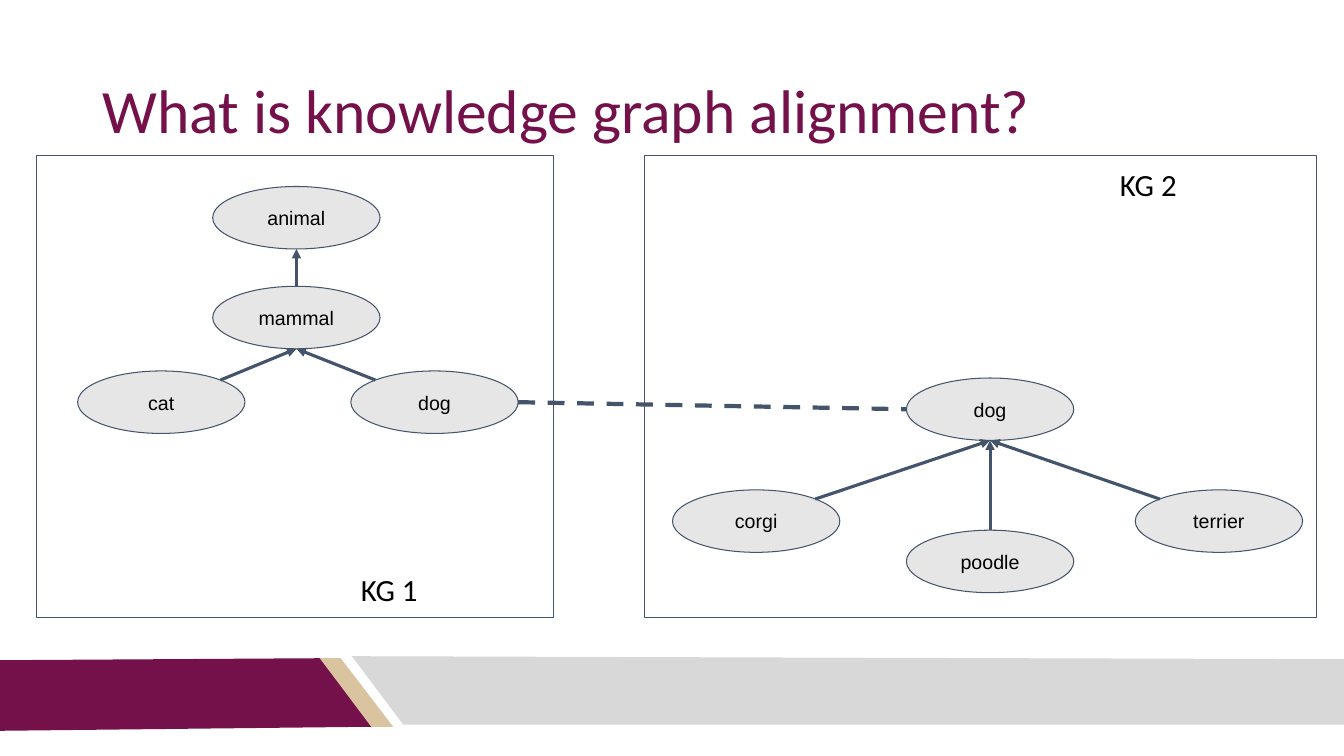
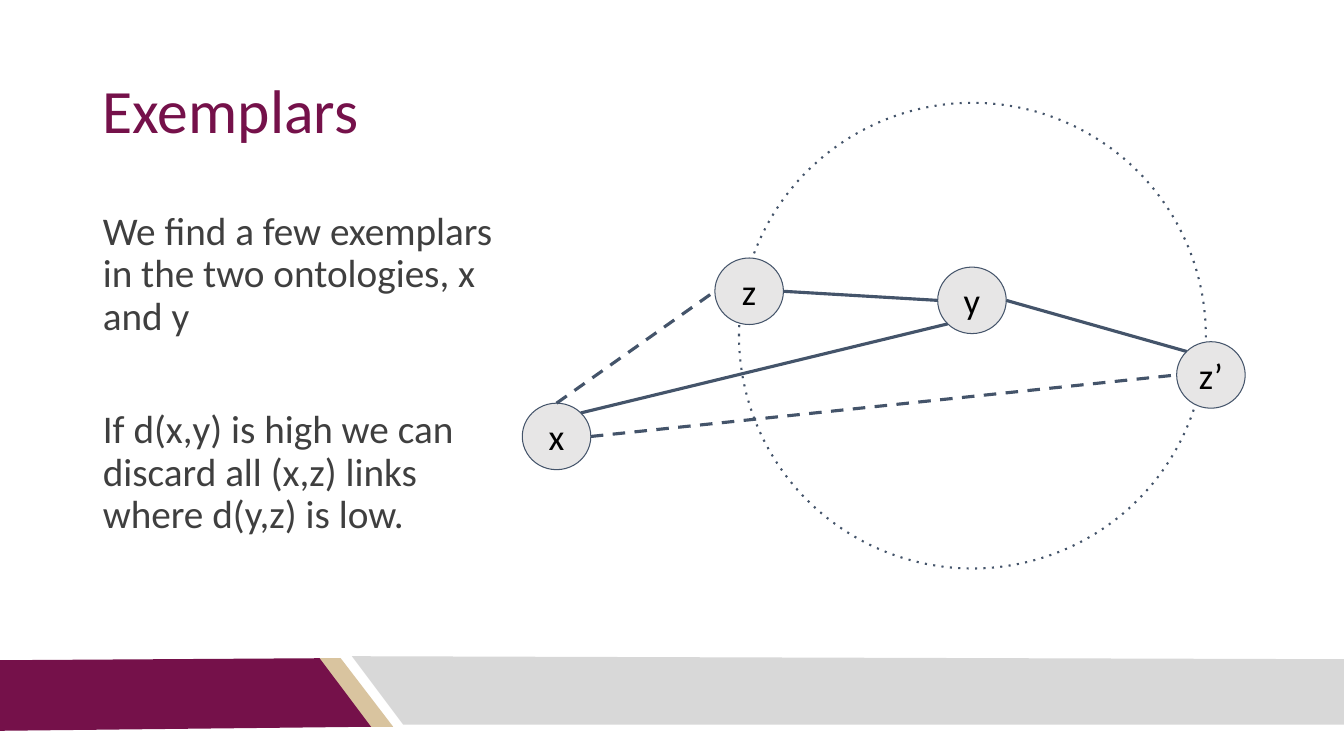
from dataclasses import dataclass
from enum import IntEnum
from math import cos, pi, sin
from typing import NamedTuple, Optional

from lxml.etree import SubElement
from pptx import Presentation
from pptx.dml.color import RGBColor as RGB
from pptx.enum.shapes import MSO_CONNECTOR as Line, MSO_SHAPE as Preset
from pptx.enum.text import MSO_ANCHOR as Anchor, MSO_AUTO_SIZE as AutoSize, PP_ALIGN as Align
from pptx.oxml.ns import qn
from pptx.shapes.autoshape import Shape
from pptx.slide import Slide
from pptx.text.text import TextFrame
from pptx.util import Pt

PX = 9144
WIDTH, HEIGHT = 1333, 750
INSET = 10
TITLE_ONLY, TITLE_AND_BODY = 5, 1


class TextStyle(NamedTuple):
    font: str
    size: int
    color: RGB


@dataclass(frozen=True)
class Theme:
    maroon: RGB = RGB.from_string("75114A")
    sand: RGB = RGB.from_string("D9C49F")
    silver: RGB = RGB.from_string("D8D8D8")
    node: RGB = RGB.from_string("E7E6E6")
    slate: RGB = RGB.from_string("44546A")
    title: TextStyle = TextStyle("Calibri", 44, RGB.from_string("75114A"))
    body: TextStyle = TextStyle("Calibri", 28, RGB.from_string("3F3F3F"))
    concept: TextStyle = TextStyle("Arial", 14, RGB.from_string("000000"))
    point: TextStyle = TextStyle("Calibri", 26, RGB.from_string("000000"))
    caption: TextStyle = TextStyle("Calibri", 22, RGB.from_string("000000"))
    outline: float = 0.75
    dotted: float = 1.5
    link: float = 2.25
    alignment: float = 3


THEME = Theme()


class Box(NamedTuple):
    left: int
    top: int
    width: int
    height: int

    def emu(self) -> tuple[int, ...]:
        return tuple(length * PX for length in self)


class Site(IntEnum):
    TOP = 0
    TOP_LEFT = 1
    LEFT = 2
    BOTTOM = 4
    RIGHT = 6
    TOP_RIGHT = 7
    BOTTOM_LEFT = 3


class Band(NamedTuple):
    color: RGB
    corners: tuple[tuple[int, int], ...]


class Node(NamedTuple):
    label: str
    left: int
    top: int


class Link(NamedTuple):
    begin: Shape
    begin_site: Site
    end: Shape
    end_site: Site
    dash: Optional[str] = None
    weight: float = THEME.link
    arrow: bool = False


BANDS = (
    Band(THEME.sand, ((316, 653), (338, 653), (390, 721), (367, 721))),
    Band(THEME.maroon, ((0, 655), (317, 653), (368, 721), (0, 725))),
    Band(THEME.silver, ((349, 651), (WIDTH, 654), (WIDTH, 719), (400, 719))),
)
TITLE_BOX = Box(92, 40, 1150, 145)


def set_dash(shape, dash: str) -> None:
    SubElement(shape.element.spPr.find(qn("a:ln")), qn("a:prstDash"), val=dash)


def format_text(frame: TextFrame, style: TextStyle, anchor: Anchor,
                align: Align, spacing: Optional[float] = None) -> None:
    frame.word_wrap = True
    frame.vertical_anchor = anchor
    frame.margin_left = frame.margin_right = INSET * PX
    frame.margin_top = frame.margin_bottom = INSET * PX
    for paragraph in frame.paragraphs:
        paragraph.alignment = align
        paragraph.line_spacing = spacing
        for run in paragraph.runs:
            run.font.name = style.font
            run.font.size = Pt(style.size)
            run.font.color.rgb = style.color


def place(shape: Shape, box: Box) -> None:
    shape.left, shape.top, shape.width, shape.height = box.emu()


def add_bands_to_master(slide: Slide) -> None:
    master_tree = slide.slide_layout.slide_master.shapes.element
    for number, (color, corners) in enumerate(BANDS, start=20):
        outline = slide.shapes.build_freeform(*corners[0], scale=PX)
        outline.add_line_segments(corners[1:], close=True)
        band = outline.convert_to_shape()
        band.shadow.inherit = False
        band.fill.solid()
        band.fill.fore_color.rgb = color
        band.line.fill.background()
        band.element.nvSpPr.cNvPr.set("id", str(number))
        master_tree.append(band.element)


def add_titled_slide(deck, layout: int, title: str) -> Slide:
    slide = deck.slides.add_slide(deck.slide_layouts[layout])
    heading = slide.shapes.title
    place(heading, TITLE_BOX)
    heading.text_frame.text = title
    heading.text_frame.auto_size = AutoSize.NONE
    format_text(heading.text_frame, THEME.title, Anchor.MIDDLE, Align.LEFT, 0.9)
    return slide


def add_outline(slide: Slide, preset: Preset, box: Box,
                weight: float = THEME.outline) -> Shape:
    shape = slide.shapes.add_shape(preset, *box.emu())
    shape.shadow.inherit = False
    shape.fill.background()
    shape.line.color.rgb = THEME.slate
    shape.line.width = Pt(weight)
    return shape


def add_node(slide: Slide, node: Node, size: tuple[int, int], style: TextStyle) -> Shape:
    oval = add_outline(slide, Preset.OVAL, Box(node.left, node.top, *size))
    oval.fill.solid()
    oval.fill.fore_color.rgb = THEME.node
    oval.text_frame.text = node.label
    format_text(oval.text_frame, style, Anchor.MIDDLE, Align.CENTER)
    return oval


def site_position(oval: Shape, site: Site) -> tuple[int, int]:
    angle = pi / 2 + site * pi / 4
    return (round(oval.left + oval.width * (1 + cos(angle)) / 2),
            round(oval.top + oval.height * (1 - sin(angle)) / 2))


def add_link(slide: Slide, link: Link) -> None:
    line = slide.shapes.add_connector(
        Line.STRAIGHT, *site_position(link.begin, link.begin_site),
        *site_position(link.end, link.end_site))
    line.line.color.rgb = THEME.slate
    line.line.width = Pt(link.weight)
    if link.dash:
        set_dash(line, link.dash)
    properties = line.element.spPr
    if link.arrow:
        SubElement(properties.find(qn("a:ln")), qn("a:tailEnd"), type="triangle")
    SubElement(properties, qn("a:effectLst"))
    joints = line.element.nvCxnSpPr.cNvCxnSpPr
    for tag, oval, site in (("a:stCxn", link.begin, link.begin_site),
                            ("a:endCxn", link.end, link.end_site)):
        SubElement(joints, qn(tag), id=str(oval.shape_id), idx=str(int(site)))


def add_caption(slide: Slide, text: str, box: Box) -> None:
    caption = slide.shapes.add_textbox(*box.emu())
    caption.text_frame.text = text
    format_text(caption.text_frame, THEME.caption, Anchor.TOP, Align.LEFT)


def add_body(slide: Slide, box: Box, statements: tuple[str, ...], gap: int) -> None:
    body = slide.placeholders[1]
    place(body, box)
    frame = body.text_frame
    frame.text = "\n".join(statements)
    frame.auto_size = AutoSize.NONE
    for index, paragraph in enumerate(frame.paragraphs):
        properties = paragraph._p.get_or_add_pPr()
        properties.set("marL", "0")
        properties.set("indent", "0")
        SubElement(properties, qn("a:buNone"))
        paragraph.space_before = Pt(gap if index else 0)
    format_text(frame, THEME.body, Anchor.TOP, Align.LEFT, 0.9)


def build_alignment_slide(deck) -> Slide:
    slide = add_titled_slide(deck, TITLE_ONLY, "What is knowledge graph alignment?")
    concepts = (
        Node("animal", 211, 185), Node("mammal", 211, 284),
        Node("cat", 77, 368), Node("dog", 348, 368),
        Node("dog", 899, 375), Node("corgi", 667, 486),
        Node("poodle", 899, 526), Node("terrier", 1126, 486),
    )
    animal, mammal, cat, dog, other_dog, corgi, poodle, terrier = (
        add_node(slide, concept, (166, 62), THEME.concept) for concept in concepts)
    for child, site, parent in (
        (mammal, Site.TOP, animal),
        (cat, Site.TOP_RIGHT, mammal),
        (dog, Site.TOP_LEFT, mammal),
        (corgi, Site.TOP_RIGHT, other_dog),
        (poodle, Site.TOP, other_dog),
        (terrier, Site.TOP_LEFT, other_dog),
    ):
        add_link(slide, Link(child, site, parent, Site.BOTTOM, arrow=True))
    add_link(slide, Link(dog, Site.RIGHT, other_dog, Site.LEFT, "dash", THEME.alignment))
    for graph_left, graph_width in ((36, 513), (639, 667)):
        add_outline(slide, Preset.RECTANGLE, Box(graph_left, 154, graph_width, 459))
    add_caption(slide, "KG 1", Box(348, 556, 206, 57))
    add_caption(slide, "KG 2", Box(1101, 154, 206, 57))
    return slide


def build_exemplars_slide(deck) -> None:
    slide = add_titled_slide(deck, TITLE_AND_BODY, "Exemplars")
    add_body(slide, Box(92, 200, 416, 417), (
        "We find a few exemplars in the two ontologies, x and y",
        "If d(x,y) is high we can discard all (x,z) links where d(y,z) is low.",
    ), gap=51)
    neighbourhood = add_outline(slide, Preset.OVAL, Box(733, 102, 463, 462), THEME.dotted)
    set_dash(neighbourhood, "dot")
    points = (Node("x", 518, 400), Node("z", 709, 256),
              Node("y", 930, 265), Node("z’", 1167, 339))
    x, z, y, z_prime = (add_node(slide, point, (68, 66), THEME.point) for point in points)
    for link in (
        Link(x, Site.TOP, z, Site.LEFT, "dash"),
        Link(x, Site.TOP_RIGHT, y, Site.BOTTOM_LEFT),
        Link(x, Site.RIGHT, z_prime, Site.LEFT, "dash"),
        Link(z, Site.RIGHT, y, Site.LEFT),
        Link(y, Site.RIGHT, z_prime, Site.TOP_LEFT),
    ):
        add_link(slide, link)


def main() -> None:
    deck = Presentation()
    deck.slide_width, deck.slide_height = WIDTH * PX, HEIGHT * PX
    add_bands_to_master(build_alignment_slide(deck))
    build_exemplars_slide(deck)
    deck.save("out.pptx")


if __name__ == "__main__":
    main()
